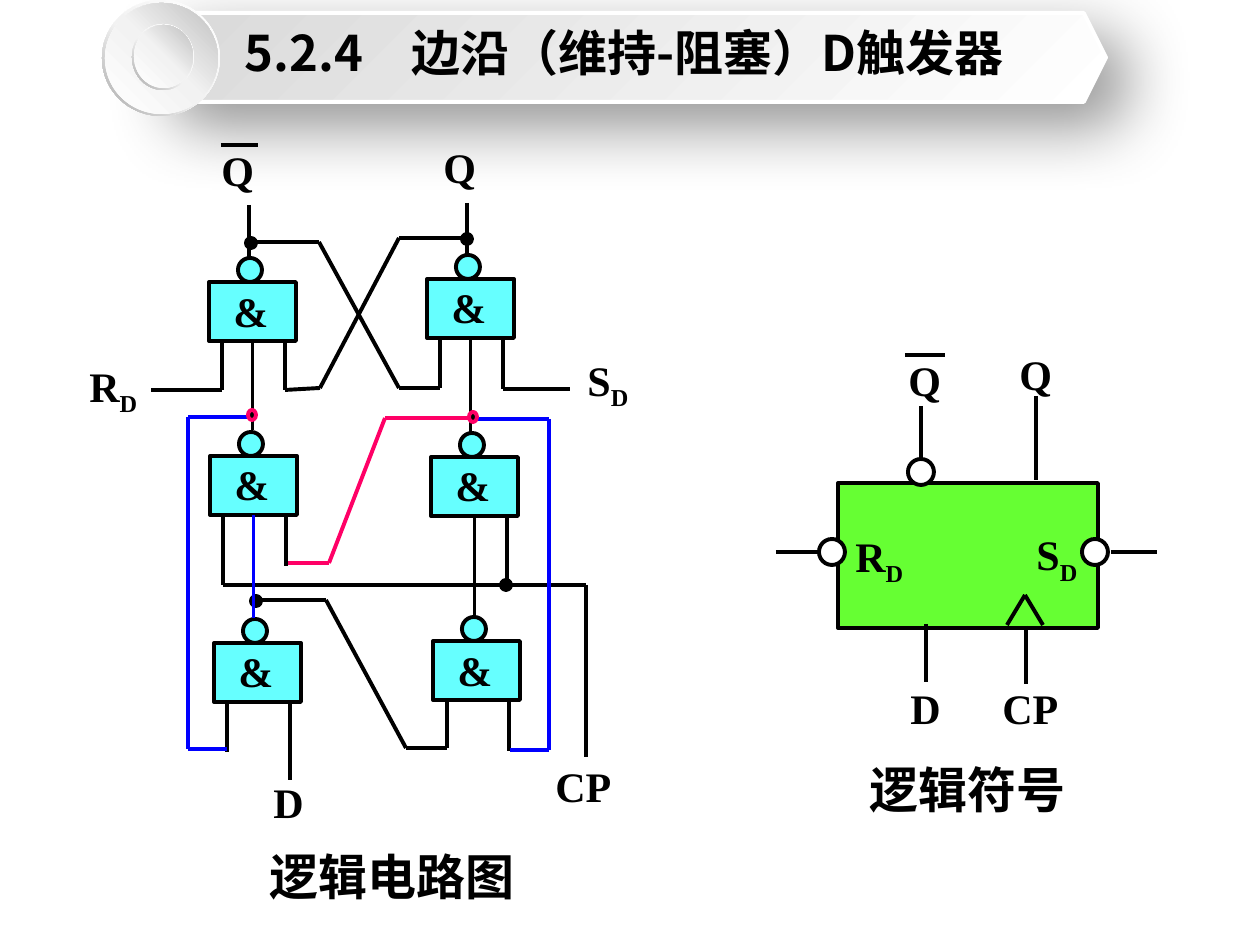
from itertools import pairwise

from lxml import etree
from pptx import Presentation
from pptx.dml.color import RGBColor
from pptx.enum.shapes import MSO_CONNECTOR, MSO_SHAPE
from pptx.enum.text import MSO_ANCHOR, MSO_AUTO_SIZE, PP_ALIGN
from pptx.oxml.ns import qn
from pptx.util import Pt

SCALE = 914400 / 126
STRAIGHT = MSO_CONNECTOR.STRAIGHT
RECT, OVAL = MSO_SHAPE.RECTANGLE, MSO_SHAPE.OVAL
DONUT, HEXAGON = MSO_SHAPE.DONUT, MSO_SHAPE.HEXAGON
MIDDLE, TOP = MSO_ANCHOR.MIDDLE, MSO_ANCHOR.TOP
CENTER = PP_ALIGN.CENTER
GROW = MSO_AUTO_SIZE.SHAPE_TO_FIT_TEXT
COLORS = {
    "black": "000000", "white": "FFFFFF", "blue": "0000FF", "pink": "FF0066",
    "cyan": "66FFFF", "green": "66FF33", "pale": "F2F2F2",
    "light": "D9D9D9", "silver": "BFBFBF", "gray": "A6A6A6",
}
SERIF, SANS, CJK = "Times New Roman", "Arial", "Noto Sans CJK SC"
GATE_W, GATE_H = 87, 59


def px(n):
    return round(n * SCALE)


def rgb(name):
    return RGBColor.from_string(COLORS[name])


def write(tf, text, sub="", size=24, font=SERIF, align=None, spacing=None):
    p = tf.paragraphs[0]
    p.alignment = align
    p.line_spacing = spacing
    p.space_before = Pt(0)
    for part in filter(None, (text, sub)):
        r = p.add_run()
        r.text = part
        r.font.size = Pt(size)
        r.font.bold = True
        r.font.name = font
        r.font.color.rgb = rgb("black")
        rpr = r._r.get_or_add_rPr()
        if font == CJK:
            etree.SubElement(rpr, qn("a:ea"), typeface=font)
        if part == sub:
            rpr.set("baseline", "-25000")


class Drawing:
    def __init__(self, prs):
        self.slide = prs.slides.add_slide(prs.slide_layouts[5])
        self.shapes = self.slide.shapes
        self.width = Pt(2.25)

    def group(self):
        self.shapes = self.slide.shapes.add_group_shape().shapes

    def title(self, text, x, y, w, h):
        sp = self.slide.shapes.title
        self.slide.shapes._spTree.append(sp._element)
        sp.left, sp.top, sp.width, sp.height = map(px, (x, y, w, h))
        tf = sp.text_frame
        tf.word_wrap = True
        tf.auto_size = MSO_AUTO_SIZE.NONE
        tf.vertical_anchor = MIDDLE
        tf.margin_left = tf.margin_right = tf.margin_top = tf.margin_bottom = 0
        write(tf, text, size=28, font=CJK, align=CENTER, spacing=0.82)

    def shape(self, kind, x, y, w, h, fill=None, line="black"):
        sp = self.shapes.add_shape(kind, *map(px, (x, y, w, h)))
        sp.shadow.inherit = False
        if fill:
            sp.fill.solid()
            sp.fill.fore_color.rgb = rgb(fill)
        if line:
            sp.line.color.rgb = rgb(line)
            sp.line.width = self.width
        else:
            sp.line.fill.background()
        return sp

    def gradient(self, kind, box, stops, angle, line=None):
        sp = self.shape(kind, *box, line=line)
        grad = etree.Element(qn("a:gradFill"), rotWithShape="1")
        gs_list = etree.SubElement(grad, qn("a:gsLst"))
        for pos, color in stops:
            gs = etree.SubElement(gs_list, qn("a:gs"), pos=str(pos * 1000))
            etree.SubElement(gs, qn("a:srgbClr"), val=COLORS[color])
        etree.SubElement(grad, qn("a:lin"), ang=str(angle * 60000), scaled="0")
        sp._element.spPr.insert(2, grad)
        return sp

    def shadow(self, sp, alpha, blur, dist, angle):
        effects = sp._element.spPr.find(qn("a:effectLst"))
        outer = etree.SubElement(
            effects, qn("a:outerShdw"), blurRad=str(Pt(blur)),
            dist=str(Pt(dist)), dir=str(angle * 60000), algn="tl", rotWithShape="0")
        clr = etree.SubElement(outer, qn("a:srgbClr"), val=COLORS["black"])
        etree.SubElement(clr, qn("a:alpha"), val=str(alpha * 1000))

    def line(self, start, end, color="black", source=None):
        c = self.shapes.add_connector(STRAIGHT, *map(px, (*start, *end)))
        c.line.color.rgb = rgb(color)
        c.line.width = self.width
        etree.SubElement(c._element.spPr, qn("a:effectLst"))
        if source:
            c.begin_connect(source, 2)

    def wire(self, *points, color="black"):
        for start, end in pairwise(points):
            self.line(start, end, color)

    def label(self, x, y, w, text, sub=""):
        tf = self.shapes.add_textbox(*map(px, (x, y, w, 64))).text_frame
        tf.word_wrap = True
        tf.auto_size = GROW
        tf.margin_top = px(10)
        write(tf, text, sub)

    def caption(self, x, y, w, text):
        tf = self.shapes.add_textbox(*map(px, (x, y, w, 72))).text_frame
        tf.word_wrap = False
        tf.auto_size = GROW
        tf.vertical_anchor = TOP
        write(tf, text, size=28, font=SANS)

    def gate(self, x, y):
        sp = self.shape(RECT, x, y, GATE_W, GATE_H, "cyan")
        self.shape(OVAL, x + 29, y - 24, 24, 24, "cyan")
        self.label(x + 12, y - 7, 64, "&")
        return sp

    def output(self, gate, x, y, bottom, color="black"):
        middle = x + GATE_W / 2
        self.line((middle, y + GATE_H), (middle, bottom), color, gate)


def banner(d):
    d.group()
    bar = d.gradient(HEXAGON, (142, 13, 964, 89),
                     [(0, "white"), (100, "light")], 225, "white")
    d.shadow(bar, 42, 38, 19, 45)
    ring = [(0, "white"), (55, "pale"), (100, "gray")]
    disc = [(0, "white"), (51, "pale"), (100, "silver")]
    for outer, inner in (((102, 0, 118, 116), (105, 3, 113, 111)),
                         ((132, 24, 62, 66), (134, 25, 59, 63))):
        sp = d.gradient(DONUT, outer, ring, 135)
        sp.adjustments[0] = 0.05
        d.gradient(OVAL, inner, disc, 315)
    d.title("5.2.4　边沿（维持-阻塞）D触发器", 236, 13, 776, 89)


def circuit(d):
    d.group()
    places = [(209, 282), (427, 279), (210, 456), (431, 457), (214, 643), (433, 641)]
    gates = [d.gate(*place) for place in places]
    for i, bottom in ((0, 430), (1, 432), (3, 618)):
        d.output(gates[i], *places[i], bottom)
    for points in (
        [(249, 205), (249, 257)],
        [(467, 203), (467, 254)],
        [(222, 341), (222, 390), (151, 390)],
        [(503, 338), (503, 389), (570, 389)],
        [(285, 341), (285, 390), (320, 388), (399, 238), (467, 238)],
        [(440, 338), (440, 388), (399, 388), (319, 242), (249, 242)],
        [(223, 515), (223, 585), (586, 585), (586, 757)],
        [(286, 515), (286, 566)],
        [(507, 516), (507, 585)],
        [(256, 600), (326, 600), (406, 748), (447, 748), (447, 700)],
        [(509, 700), (509, 751)],
        [(227, 702), (227, 752)],
        [(290, 702), (290, 780)],
        [(221, 145), (258, 145)],
    ):
        d.wire(*points)
    for x, y in ((462, 234), (246, 238), (251, 596), (501, 580)):
        d.shape(OVAL, x, y, 10, 10, "black")
    d.output(gates[2], *places[2], 618, "blue")
    d.wire((252, 417), (188, 417), (188, 749), (227, 749), color="blue")
    d.wire((478, 419), (549, 419), (549, 750), (510, 750), color="blue")
    d.wire((474, 418), (385, 418), (329, 563), (288, 563), color="pink")
    for x, y in ((248, 410), (469, 412)):
        d.shape(OVAL, x, y, 8, 10, "black", "pink")
    for item in ((77, 350, 97, "R", "D"), (575, 344, 82, "S", "D"),
                 (431, 132, 76, "Q"), (209, 135, 76, "Q"),
                 (261, 766, 68, "D"), (543, 751, 93, "CP")):
        d.label(*item)


def symbol(d):
    d.group()
    d.shape(RECT, 838, 483, 260, 145, "green")
    for points in (
        [(1111, 552), (1157, 552)],
        [(776, 552), (822, 552)],
        [(926, 624), (926, 682)],
        [(1026, 626), (1026, 684)],
        [(1007, 625), (1025, 595), (1043, 625)],
        [(905, 355), (945, 355)],
        [(921, 406), (921, 464)],
        [(1036, 396), (1036, 480)],
    ):
        d.wire(*points)
    for x, y in ((819, 539), (1082, 539), (908, 459)):
        d.shape(OVAL, x, y, 26, 26, "white")
    for item in ((843, 520, 105, "R", "D"), (1024, 519, 84, "S", "D"),
                 (898, 672, 79, "D"), (990, 672, 111, "CP"),
                 (1007, 339, 82, "Q"), (896, 345, 68, "Q")):
        d.label(*item)


def main():
    prs = Presentation()
    prs.slide_width, prs.slide_height = px(1260), px(945)
    d = Drawing(prs)
    banner(d)
    circuit(d)
    symbol(d)
    d.shapes = d.slide.shapes
    d.caption(257, 840, 273, "逻辑电路图")
    d.caption(857, 753, 224, "逻辑符号")
    prs.save("out.pptx")


if __name__ == "__main__":
    main()
